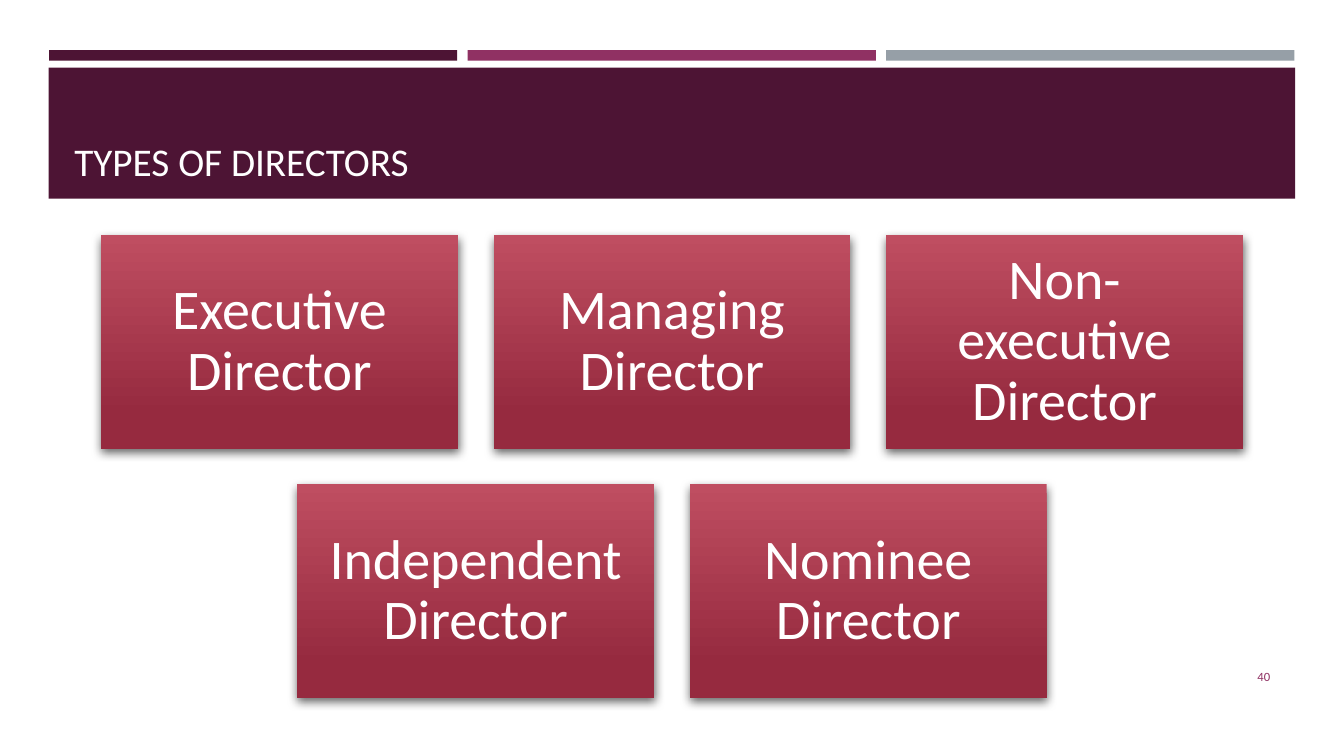
import pptx
import pptx.util
import pptx.dml.color
import pptx.enum.dml
import pptx.enum.shapes
import pptx.enum.text
import pptx.oxml
import pptx.oxml.ns
from dataclasses import dataclass

Pt = pptx.util.Pt
Anchor = pptx.enum.text.MSO_ANCHOR
Align = pptx.enum.text.PP_ALIGN

SLIDE_WIDTH, SLIDE_HEIGHT = 960, 540
CARD_WIDTH, CARD_HEIGHT = 254.9, 152.6
CARD_GAP = 25.5
CARDS_TOP = 167.8
CARD_ROWS = [
    ["Executive Director", "Managing Director", "Non-executive Director"],
    ["Independent Director", "Nominee Director"],
]


@dataclass(frozen=True)
class Theme:
    font: str = "Calibri"
    plum: str = "4D1434"
    magenta: str = "903163"
    grey: str = "969FA7"
    white: str = "FFFFFF"
    card_top: str = "BF4E61"
    card_bottom: str = "962A3F"
    title_size: float = 28
    card_size: float = 40
    number_size: float = 9


def rgb(value):
    return pptx.dml.color.RGBColor.from_string(value)


class SlideBuilder:
    def __init__(self, slide, theme):
        self.slide = slide
        self.theme = theme

    def rectangle(self, left, top, width, height):
        shape = self.slide.shapes.add_shape(
            pptx.enum.shapes.MSO_SHAPE.RECTANGLE,
            Pt(left), Pt(top), Pt(width), Pt(height))
        shape.shadow.inherit = False
        shape.line.fill.background()
        return shape

    def bar(self, left, top, width, height, color):
        shape = self.rectangle(left, top, width, height)
        shape.fill.solid()
        shape.fill.fore_color.rgb = rgb(color)

    def set_text(self, shape, text, size, color, alignment, anchor):
        frame = shape.text_frame
        frame.word_wrap = True
        frame.vertical_anchor = anchor
        paragraph = frame.paragraphs[0]
        paragraph.text = text
        paragraph.alignment = alignment
        paragraph.font.name = self.theme.font
        paragraph.font.size = Pt(size)
        paragraph.font.color.rgb = rgb(color)
        return paragraph

    def text(self, left, top, width, height, *style):
        box = self.slide.shapes.add_textbox(Pt(left), Pt(top), Pt(width), Pt(height))
        self.set_text(box, *style)

    def card(self, left, top, text):
        shape = self.rectangle(left, top, CARD_WIDTH, CARD_HEIGHT)
        shape.fill.gradient()
        shape.fill.gradient_angle = 270
        stops = [(0, self.theme.card_top), (0.84, self.theme.card_bottom)]
        for stop, (position, color) in zip(shape.fill.gradient_stops, stops):
            stop.position = position
            stop.color.rgb = rgb(color)
        self.drop_shadow(shape)
        frame = shape.text_frame
        frame.margin_left = frame.margin_right = Pt(12)
        frame.margin_top = frame.margin_bottom = Pt(12)
        paragraph = self.set_text(shape, text, self.theme.card_size, self.theme.white,
                                  Align.CENTER, Anchor.MIDDLE)
        paragraph.line_spacing = 0.9

    def drop_shadow(self, shape):
        """Fill the shape's empty effect list with a soft shadow below it."""
        effects = shape._element.spPr.find(pptx.oxml.ns.qn("a:effectLst"))
        effects.append(pptx.oxml.parse_xml(
            f'<a:outerShdw {pptx.oxml.ns.nsdecls("a")} blurRad="{Pt(7)}" '
            f'dist="{Pt(3)}" dir="{84 * 60000}" rotWithShape="0">'
            '<a:srgbClr val="000000"><a:alpha val="60000"/></a:srgbClr>'
            '</a:outerShdw>'))


def main():
    presentation = pptx.Presentation()
    presentation.slide_width = Pt(SLIDE_WIDTH)
    presentation.slide_height = Pt(SLIDE_HEIGHT)
    theme = Theme()
    builder = SlideBuilder(
        presentation.slides.add_slide(presentation.slide_layouts[6]), theme)

    for index, color in enumerate([theme.plum, theme.magenta, theme.grey]):
        builder.bar(35 + index * 299, 35.8, 291.6, 7.6, color)
    builder.bar(34.8, 48.4, 890.4, 93.6, theme.plum)
    builder.text(46, 55.6, 868, 80, "TYPES OF DIRECTORS",
                 theme.title_size, theme.white, Align.LEFT, Anchor.BOTTOM)

    for row, names in enumerate(CARD_ROWS):
        row_width = len(names) * (CARD_WIDTH + CARD_GAP) - CARD_GAP
        row_left = (SLIDE_WIDTH - row_width) / 2
        top = CARDS_TOP + row * (CARD_HEIGHT + CARD_GAP)
        for column, name in enumerate(names):
            builder.card(row_left + column * (CARD_WIDTH + CARD_GAP), top, name)

    builder.text(831.6, 469, 82.8, 28.8, "40",
                 theme.number_size, theme.magenta, Align.RIGHT, Anchor.MIDDLE)
    presentation.save("out.pptx")


if __name__ == "__main__":
    main()
